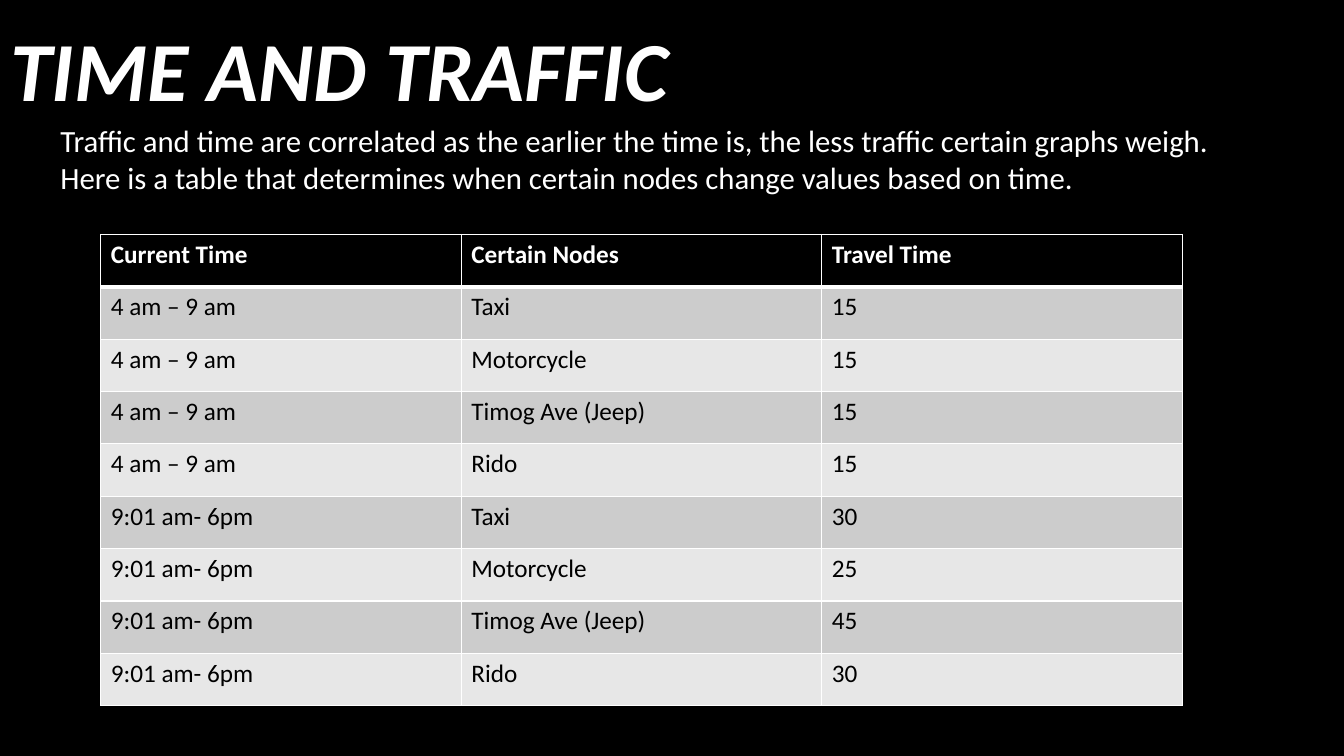
from itertools import product

from lxml.etree import SubElement
from pptx import Presentation
from pptx.dml.color import RGBColor
from pptx.enum.text import MSO_ANCHOR as Anchor, MSO_AUTO_SIZE as AutoSize, PP_ALIGN as Align
from pptx.oxml.ns import qn
from pptx.util import Pt

COLORS = {"black": "000000", "white": "FFFFFF", "dark band": "CCCCCC", "light band": "E7E7E7"}

TITLE = "TIME AND TRAFFIC"
INTRO = [
    "Traffic and time are correlated as the earlier the time is, the less traffic certain graphs weigh.",
    "Here is a table that determines when certain nodes change values based on time.",
]
HEADER = ("Current Time", "Certain Nodes", "Travel Time")
NODES = ("Taxi", "Motorcycle", "Timog Ave (Jeep)", "Rido")
TRAVEL_TIMES = {
    "4 am – 9 am": (15, 15, 15, 15),
    "9:01 am- 6pm": (30, 25, 45, 30),
}


class SlideBuilder:
    font_name = "Calibri"

    def __init__(self, deck):
        self.slide = deck.slides.add_slide(deck.slide_layouts[1])
        fill = self.slide.background.fill
        fill.solid()
        fill.fore_color.rgb = self.color("black")

    def color(self, name):
        return RGBColor.from_string(COLORS[name])

    def format_runs(self, para, size, color, bold=False, italic=False):
        for span in para.runs:
            font = span.font
            font.name, font.size = self.font_name, Pt(size)
            font.bold, font.italic = bold, italic
            font.color.rgb = self.color(color)

    def fill_placeholder(self, box, lines, bounds, size, **style):
        """Move a placeholder and set its lines, flush left and without bullets."""
        box.left, box.top, box.width, box.height = map(Pt, bounds)
        frame = box.text_frame
        frame.text = "\n".join(lines)
        frame.word_wrap = True
        frame.auto_size = AutoSize.NONE
        frame.vertical_anchor = Anchor.TOP
        for para in frame.paragraphs:
            para.alignment = Align.LEFT
            para.space_before = Pt(0)
            properties = para._p.get_or_add_pPr()
            properties.set("marL", "0")
            properties.set("indent", "0")
            SubElement(properties, qn("a:buNone"))
            self.format_runs(para, size, "white", **style)

    def title(self, text, bounds):
        self.fill_placeholder(self.slide.shapes.title, [text], bounds, 60, bold=True, italic=True)

    def body(self, lines, bounds):
        self.fill_placeholder(self.slide.placeholders[1], lines, bounds, 22)

    def border(self, cell, side, width):
        line = SubElement(cell._tc.get_or_add_tcPr(), qn(f"a:ln{side}"), w=str(Pt(width)))
        fill = SubElement(line, qn("a:solidFill"))
        SubElement(fill, qn("a:srgbClr"), val=COLORS["white"])

    def table(self, rows, left, top, column_width, row_height):
        row_count, column_count = len(rows), len(rows[0])
        table = self.slide.shapes.add_table(
            row_count, column_count, Pt(left), Pt(top),
            Pt(column_width * column_count), Pt(row_height * row_count),
        ).table
        for column in table.columns:
            column.width = Pt(column_width)
        for row in table.rows:
            row.height = Pt(row_height)
        for row, column in product(range(row_count), range(column_count)):
            header = row == 0
            cell = table.cell(row, column)
            cell.text_frame.text = str(rows[row][column])
            self.format_runs(cell.text_frame.paragraphs[0], 18, "white" if header else "black", bold=header)
            widths = {"L": 1, "R": 1, "T": 3 if row == 1 else 1, "B": 3 if header else 1}
            for side, width in widths.items():
                self.border(cell, side, width)
            band = "black" if header else "dark band" if row % 2 else "light band"
            cell.fill.solid()
            cell.fill.fore_color.rgb = self.color(band)


def main():
    deck = Presentation()
    deck.slide_width, deck.slide_height = Pt(960), Pt(540)
    builder = SlideBuilder(deck)
    builder.title(TITLE, (0, 8.6, 960, 78))
    builder.body(INTRO, (36, 83.5, 900, 64))
    rows = [HEADER]
    for period, minutes in TRAVEL_TIMES.items():
        rows += [(period, node, value) for node, value in zip(NODES, minutes)]
    builder.table(rows, left=72, top=167.5, column_width=257.5, row_height=37.4)
    deck.save("out.pptx")


if __name__ == "__main__":
    main()
